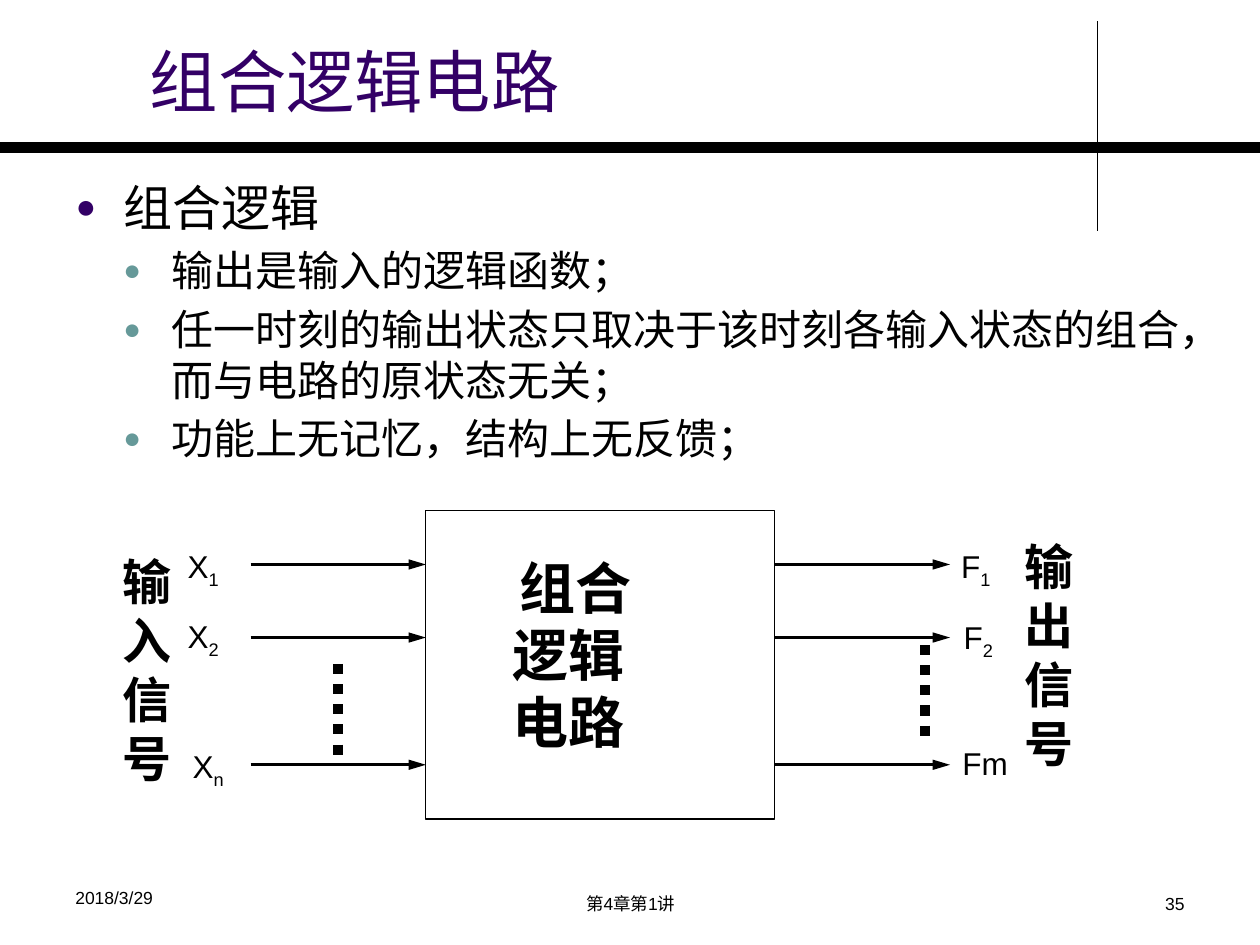
from lxml import etree
from pptx import Presentation
from pptx.dml.color import RGBColor
from pptx.enum.dml import MSO_LINE
from pptx.enum.shapes import MSO_CONNECTOR, MSO_SHAPE
from pptx.enum.text import MSO_ANCHOR, MSO_AUTO_SIZE, PP_ALIGN
from pptx.oxml.ns import qn
from pptx.util import Inches, Pt

STRAIGHT, RECTANGLE = MSO_CONNECTOR.STRAIGHT, MSO_SHAPE.RECTANGLE
LEFT, CENTER, RIGHT = PP_ALIGN.LEFT, PP_ALIGN.CENTER, PP_ALIGN.RIGHT
TOP, BOTTOM = MSO_ANCHOR.TOP, MSO_ANCHOR.BOTTOM
DOTTED = MSO_LINE.ROUND_DOT
COLORS = {"black": "000000", "title": "330066", "sub_bullet": "669999"}
LATIN_FONT, CJK_FONT = "Arial", "Noto Sans CJK SC"

# Content
TITLE = "组合逻辑电路"
POINTS = [
    (0, "组合逻辑"),
    (1, "输出是输入的逻辑函数；"),
    (1, "任一时刻的输出状态只取决于该时刻各输入状态的组合，而与电路的原状态无关；"),
    (1, "功能上无记忆，结构上无反馈；"),
]
LEVELS = [(28, "title"), (24, "sub_bullet")]  # text size, bullet colour
FOOTERS = [
    ("2018/3/29", (0.5, 6.99, 2.33, 0.34), LEFT),
    ("第4章第1讲", (3.42, 7.04, 3.17, 0.29), CENTER),
    ("35", (7.17, 7.04, 2.33, 0.29), RIGHT),
]
# Name, subscript, left, top
SIGNALS = [
    ("X", "1", 1.39, 4.29), ("X", "2", 1.39, 4.85), ("X", "n", 1.43, 5.88),
    ("F", "1", 7.53, 4.29), ("F", "2", 7.55, 4.86), ("Fm", "", 7.54, 5.86),
]
SIDE_LABELS = [("输入信号", 0.87, 4.33), ("输出信号", 8.03, 4.21)]
CIRCUIT = (3.38, 4.05, 2.77, 2.45)
ARROW_ROWS = [4.48, 5.06, 6.07]
ARROW_LENGTH = 1.39
ELLIPSES = [(2.68, 5.27), (7.34, 5.12)]
ELLIPSIS_HEIGHT = 0.72

prs = Presentation()
prs.slide_width, prs.slide_height = Inches(10), Inches(7.5)
slide = prs.slides.add_slide(prs.slide_layouts[1])


def rgb(name):
    return RGBColor.from_string(COLORS[name])


def add_run(paragraph, text, size=18, color="black", bold=False, subscript=False):
    run = paragraph.add_run()
    run.text = text
    run.font.size, run.font.bold = Pt(size), bold
    run.font.name = LATIN_FONT
    run.font.color.rgb = rgb(color)
    props = run._r.get_or_add_rPr()
    props.find(qn("a:latin")).addnext(
        etree.Element(qn("a:ea"), typeface=CJK_FONT))
    if subscript:
        props.set("baseline", "-25000")


def place(holder, box, anchor=TOP):
    holder.left, holder.top, holder.width, holder.height = map(Inches, box)
    frame = holder.text_frame
    frame.word_wrap = True
    frame.auto_size = MSO_AUTO_SIZE.NONE
    frame.vertical_anchor = anchor
    return frame


def add_text(box, text, align=LEFT, **style):
    frame = place(slide.shapes.add_textbox(0, 0, 0, 0), box)
    paragraph = frame.paragraphs[0]
    paragraph.alignment = align
    add_run(paragraph, text, **style)
    return frame


def add_line(x1, y1, x2, y2, width, dash=None, arrow=False):
    line = slide.shapes.add_connector(STRAIGHT, *map(Inches, (x1, y1, x2, y2)))
    line.line.color.rgb = rgb("black")
    line.line.width = Pt(width)
    if dash:
        line.line.dash_style = dash
    if arrow:
        etree.SubElement(line.line._get_or_add_ln(), qn("a:tailEnd"),
                         type="triangle", w="med", len="lg")
    etree.SubElement(line._element.spPr, qn("a:effectLst"))


def set_bullet(paragraph, level, color):
    props = paragraph._p.get_or_add_pPr()
    props.set("marL", str(Inches(0.38 * (level + 1))))
    props.set("indent", str(-Inches(0.38)))
    bullet_color = etree.SubElement(props, qn("a:buClr"))
    etree.SubElement(bullet_color, qn("a:srgbClr"), val=COLORS[color])
    etree.SubElement(props, qn("a:buSzPct"), val="70000")
    etree.SubElement(props, qn("a:buFont"), typeface=LATIN_FONT)
    etree.SubElement(props, qn("a:buChar"), char="●")


# Ruled lines around the title
add_line(8.71, 0.17, 8.71, 1.83, 0.75)
add_line(0, 1.17, 10, 1.17, 6)

# Title and bullet list
heading = place(slide.shapes.title, (1.09, 0.2, 7.55, 0.81), BOTTOM).paragraphs[0]
heading.alignment = LEFT
add_run(heading, TITLE, size=39, color="title")

body = place(slide.placeholders[1], (0.5, 1.36, 9.5, 2.33))
for index, (level, point) in enumerate(POINTS):
    item = body.add_paragraph() if index else body.paragraphs[0]
    size, bullet = LEVELS[level]
    item.level = level
    set_bullet(item, level, bullet)
    add_run(item, point, size=size)

# Footer
for text, box, align in FOOTERS:
    add_text(box, text, align=align, size=10)

# Circuit block
block = slide.shapes.add_shape(RECTANGLE, *map(Inches, CIRCUIT))
block.shadow.inherit = False
block.fill.background()
block.line.color.rgb = rgb("black")
block.line.width = Pt(0.75)
block_label = add_text((3.97, 4.34, 1.49, 1.72), " ")
add_run(block_label.paragraphs[0], "组合", size=32, bold=True)
add_run(block_label.add_paragraph(), "逻辑电路", size=32, bold=True)

# Input and output arrows, with dots for the signals left out
block_left, block_right = CIRCUIT[0], CIRCUIT[0] + CIRCUIT[2]
for start in (block_left - ARROW_LENGTH, block_right):
    for y in ARROW_ROWS:
        add_line(start, y, start + ARROW_LENGTH, y, 1.5, arrow=True)
for x, y in ELLIPSES:
    add_line(x, y, x, y + ELLIPSIS_HEIGHT, 5.75, dash=DOTTED)

# Signal names
for name, subscript, left, top in SIGNALS:
    signal = add_text((left, top, 0.9, 0.4), name)
    if subscript:
        add_run(signal.paragraphs[0], subscript, subscript=True)
for label, left, top in SIDE_LABELS:
    add_text((left, top, 0.61, 1.99), label, size=28, bold=True)

prs.save("out.pptx")
